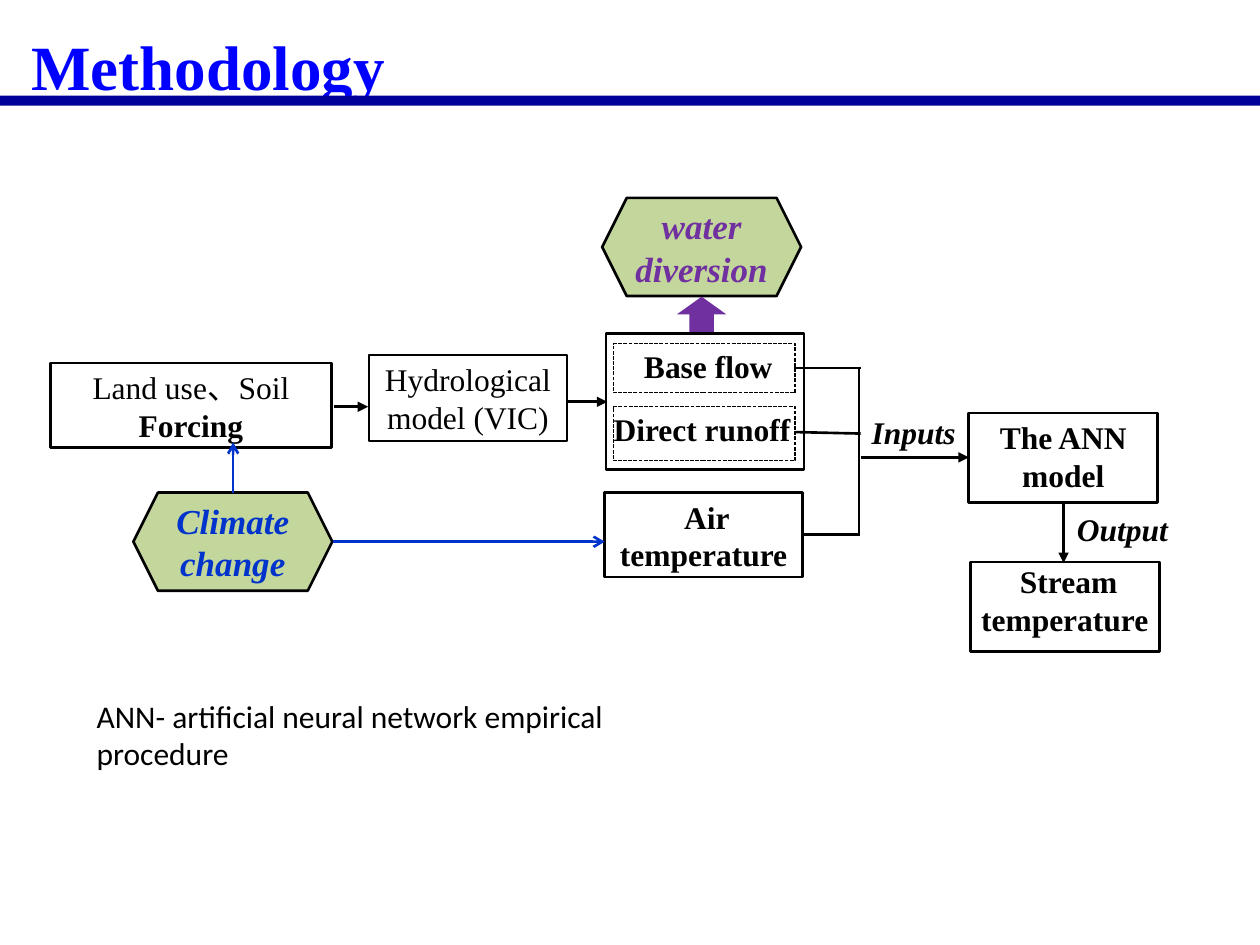
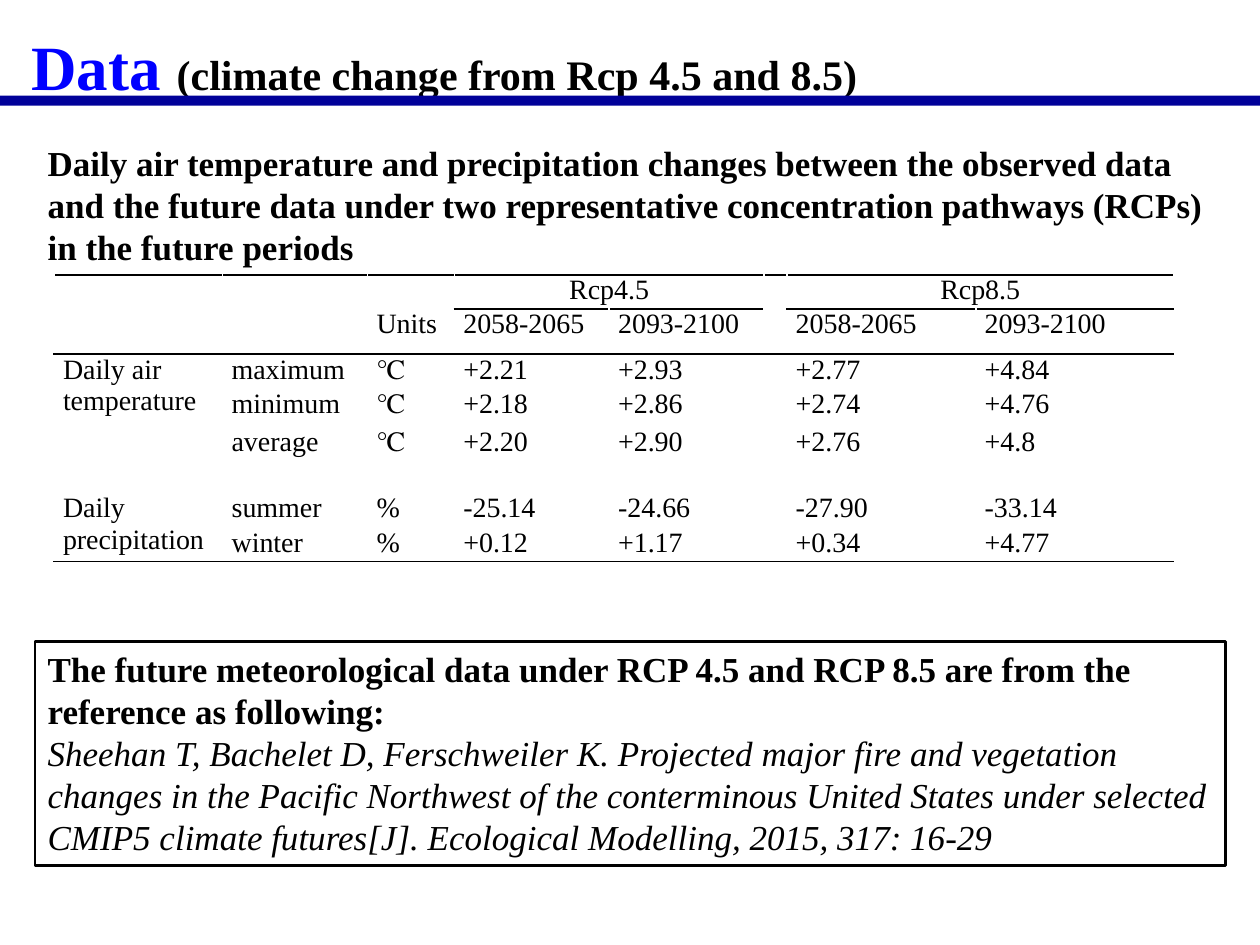
import pptx
import pptx.dml.color
import pptx.enum.dml
import pptx.enum.shapes
import pptx.enum.text
import pptx.oxml
import pptx.oxml.ns
import pptx.util
import lxml.etree

Cm, Pt = pptx.util.Cm, pptx.util.Pt
Kind = pptx.enum.shapes.MSO_SHAPE
Align = pptx.enum.text.PP_ALIGN
Anchor = pptx.enum.text.MSO_ANCHOR
Fit = pptx.enum.text.MSO_AUTO_SIZE

BLACK, WHITE = "000000", "FFFFFF"
TITLE, BAND = "0000FF", "000099"
GREEN, BLUE, VIOLET = "C3D69B", "0033CC", "7030A0"
SERIF, SANS = "Times New Roman", "Calibri"


def color(code):
    return pptx.dml.color.RGBColor.from_string(code)


def sub(parent, tag, **attrs):
    return lxml.etree.SubElement(parent, pptx.oxml.ns.qn(tag), attrs)


class Deck:
    """Holds the shared style and the current slide."""

    def __init__(self):
        self.prs = pptx.Presentation()
        self.prs.slide_width, self.prs.slide_height = Cm(25.4), Cm(19.05)
        self.slide = None

    def page(self, runs):
        """Start a slide with its title and the band below."""
        self.slide = self.prs.slides.add_slide(self.prs.slide_layouts[5])
        head = self.slide.shapes.title
        head.left, head.top, head.width, head.height = map(Cm, (0.38, 0.13, 25, 1.9))
        frame = head.text_frame
        frame.auto_size = Fit.NONE
        frame.vertical_anchor = Anchor.TOP
        self.put(frame, [runs], size=36, ink=TITLE, bold=True, before=4, line=1.2)
        self.shape(Kind.RECTANGLE, (0, 1.93, 25.4, 0.2), fill=BAND, edge=None)

    def font(self, font, size=None, ink=None, bold=None, italic=None, face=None):
        if size:
            font.size = Pt(size)
        if ink:
            font.color.rgb = color(ink)
        if face:
            font.name = face
        if bold is not None:
            font.bold = bold
        if italic is not None:
            font.italic = italic

    def put(self, frame, paras, size=18, ink=BLACK, bold=False, italic=False,
            face=SERIF, align=Align.LEFT, before=0, line=None):
        """Each paragraph is a string or a list of (text, changes) runs."""
        for i, runs in enumerate(paras):
            para = frame.add_paragraph() if i else frame.paragraphs[0]
            para.alignment, para.space_before = align, Pt(before)
            if line:
                para.line_spacing = line
            self.font(para.font, size, ink, bold, italic, face)
            for text, change in [(runs, {})] if isinstance(runs, str) else runs:
                run = para.add_run()
                run.text = text
                self.font(run.font, **change)

    def shape(self, kind, box, paras=(), fill=WHITE, edge=BLACK, width=1.5, dash=False,
              pad=(0.1, 0.1, 0.1, 0.1), anchor=Anchor.TOP, align=Align.CENTER, **style):
        item = self.slide.shapes.add_shape(kind, *map(Cm, box))
        item.shadow.inherit = False
        if fill:
            item.fill.solid()
            item.fill.fore_color.rgb = color(fill)
        else:
            item.fill.background()
        if edge:
            item.line.color.rgb = color(edge)
            item.line.width = Pt(width)
        else:
            item.line.fill.background()
        if dash:
            item.line.dash_style = pptx.enum.dml.MSO_LINE.SQUARE_DOT
        frame = item.text_frame
        frame.vertical_anchor = anchor
        self.pad(frame, pad)
        if paras:
            self.put(frame, paras, align=align, **style)
        return item

    def pad(self, item, pad):
        (item.margin_left, item.margin_top,
         item.margin_right, item.margin_bottom) = map(Cm, pad)

    def text(self, box, words, wrap=True, **style):
        frame = self.slide.shapes.add_textbox(*map(Cm, box)).text_frame
        frame.word_wrap = wrap
        frame.auto_size = Fit.SHAPE_TO_FIT_TEXT
        self.put(frame, [words], **style)

    def line(self, x1, y1, x2, y2, tip=None, ink=BLACK):
        item = self.slide.shapes.add_connector(
            pptx.enum.shapes.MSO_CONNECTOR.STRAIGHT, *map(Cm, (x1, y1, x2, y2)))
        item.line.color.rgb = color(ink)
        item.line.width = Pt(1.5)
        if tip:
            sub(item.get_or_add_ln(), "a:tailEnd", type=tip)
        sub(item._element.spPr, "a:effectLst")

    def rule(self, cell, tag):
        """Draw a black border on one side of a table cell."""
        edge = sub(cell._tc.get_or_add_tcPr(), tag, w=str(Pt(1)))
        sub(sub(edge, "a:solidFill"), "a:srgbClr", val=BLACK)

    def table(self, left, top, cols, rows, data, spans, tops, bases):
        """tops and bases are the (row, col) cells ruled above and below."""
        grid = self.slide.shapes.add_table(
            len(rows), len(cols), Cm(left), Cm(top), Cm(sum(cols)), Cm(sum(rows))).table
        grid.first_row = grid.horz_banding = False
        for part, size in zip(grid.columns, cols):
            part.width = Cm(size)
        for part, size in zip(grid.rows, rows):
            part.height = Cm(size)
        for r, texts in enumerate(data):
            for c, text in enumerate(texts):
                cell = grid.cell(r, c)
                self.pad(cell, (0.18, 0, 0.18, 0))
                align = Align.CENTER if r == 0 else Align.LEFT
                self.put(cell.text_frame, [text] if text else [[]], size=16, align=align)
                if (r, c) in tops:
                    self.rule(cell, "a:lnT")
                if (r, c) in bases:
                    self.rule(cell, "a:lnB")
                cell.fill.background()
        for start, end in spans:
            grid.cell(*start).merge(grid.cell(*end))


def method(deck):
    deck.page("Methodology")
    rect, hexa = Kind.RECTANGLE, Kind.HEXAGON

    # Model chain
    deck.shape(rect, (1.02, 7.32, 5.66, 1.7),
               [[("Land use、Soil ", {}), ("Forcing", {"bold": True})]],
               pad=(0.25, 0.1, 0.25, 0.1))
    deck.line(6.73, 8.2, 7.42, 8.2, "triangle")
    deck.shape(rect, (7.44, 7.16, 3.99, 1.73), ["Hydrological model (VIC)"])
    flow = dict(width=0.75, dash=True, bold=True, before=6, line=Pt(18))
    deck.shape(rect, (12.37, 6.93, 3.66, 0.99), [" Base flow"],
               pad=(0.1, 0.2, 0.1, 0.1), **flow)
    deck.shape(rect, (12.19, 9.93, 3.99, 1.7), [" Air temperature"], bold=True)

    # Inputs joined into the network model
    deck.line(16, 7.42, 17.35, 7.42)
    deck.line(17.32, 7.39, 17.32, 10.8)
    deck.line(17.35, 9.22, 19.53, 9.22, "triangle")
    deck.shape(rect, (19.53, 8.33, 3.81, 1.8), ["The ANN model"], bold=True, before=12)
    deck.shape(rect, (19.56, 11.33, 3.81, 1.8), [" Stream temperature"],
               pad=(0.1, 0, 0.1, 0), bold=True)
    deck.line(16.03, 8.71, 17.35, 8.74)
    deck.line(11.46, 8.1, 12.24, 8.1, "triangle")
    deck.shape(rect, (12.37, 8.2, 3.66, 1.09), ["Direct runoff"],
               pad=(0, 0.2, 0, 0.1), align=Align.LEFT, **flow)
    deck.shape(rect, (12.22, 6.73, 3.99, 2.74), fill=None)
    deck.line(16.15, 10.77, 17.32, 10.77)
    label = dict(wrap=False, bold=True, italic=True)
    deck.text((17.32, 8.2, 2.24, 1.02), "Inputs", **label)
    deck.line(21.44, 10.16, 21.44, 11.35, "triangle")
    deck.text((21.46, 10.16, 2.36, 0.84), "Output", **label)

    # Outer drivers
    driver = dict(fill=GREEN, anchor=Anchor.MIDDLE, size=20, bold=True, italic=True)
    deck.shape(hexa, (2.69, 9.93, 4.01, 1.98), ["Climate change"], ink=BLUE,
               pad=(0.25, 0.13, 0.25, 0.13), **driver)
    deck.line(4.7, 9.93, 4.7, 8.92, "arrow", BLUE)
    deck.line(6.71, 10.92, 12.19, 10.92, "arrow", BLUE)
    deck.shape(hexa, (12.14, 3.99, 4.01, 1.98), ["water diversion"], ink=VIOLET,
               pad=(0.1, 0.13, 0.1, 0.13), **driver)
    arrow = deck.shape(Kind.RIGHT_ARROW, (13.79, 5.84, 0.71, 0.99), fill=VIOLET, edge=None)
    arrow.rotation = 270

    deck.text((1.7, 13.92, 12.19, 1.8),
              "ANN- artificial neural network empirical procedure", face=SANS)


def data(deck):
    deck.page([("Data ", {}),
               ("(climate change from Rcp 4.5 and 8.5)", {"size": 24, "ink": BLACK})])
    deck.text((0.71, 2.72, 24, 2.82),
              "Daily air temperature and precipitation changes between the observed data "
              "and the future data under two representative concentration pathways (RCPs) "
              "in the future periods", size=20, bold=True)

    # Table of changes, ruled across and under the two scenario heads
    years = ["2058-2065", "2093-2100"]
    rows = [
        ["", "", "", "Rcp4.5", "", "", "Rcp8.5", ""],
        ["", "", "Units", *years, "", *years],
        ["Daily air temperature", "maximum", "℃", "+2.21", "+2.93", "", "+2.77", "+4.84"],
        ["", "minimum", "℃", "+2.18", "+2.86", "", "+2.74", "+4.76"],
        ["", "average", "℃", "+2.20", "+2.90", "", "+2.76", "+4.8"],
        ["Daily precipitation", "summer", "%", "-25.14", "-24.66", "", "-27.90", "-33.14"],
        ["", "winter", "%", "+0.12", "+1.17", "", "+0.34", "+4.77"],
    ]
    heads = (3, 4, 6, 7)
    tops = {(r, c) for r in (0, 2) for c in range(8)} | {(1, c) for c in heads}
    bases = {(r, c) for r in (1, 6) for c in range(8)} | {(0, c) for c in heads} | {(5, 0)}
    spans = [((0, 3), (0, 4)), ((0, 6), (0, 7)), ((2, 0), (4, 0)), ((5, 0), (6, 0))]
    deck.table(1.09, 5.54, [3.4, 2.92, 1.75, 3.12, 3.12, 0.46, 3.81, 3.99],
               [0.69, 0.91, 0.69, 0.76, 1.35, 0.69, 0.69], rows, spans, tops, bases)

    # Source of the data
    deck.shape(Kind.RECTANGLE, (0.71, 12.93, 24, 4.52), [
        [("The future meteorological data under RCP 4.5 and RCP 8.5 are from the "
          "reference as following:", {"bold": True})],
        [("Sheehan T, Bachelet D, Ferschweiler K. Projected major fire and vegetation "
          "changes in the Pacific Northwest of the conterminous United States under "
          "selected CMIP5 climate futures[J]. Ecological Modelling, 2015, 317: 16-29",
          {"italic": True})],
    ], fill=None, pad=(0.25, 0.13, 0.25, 0.13), align=Align.LEFT, size=20)


def main():
    deck = Deck()
    method(deck)
    data(deck)
    deck.prs.save("out.pptx")


if __name__ == "__main__":
    main()
